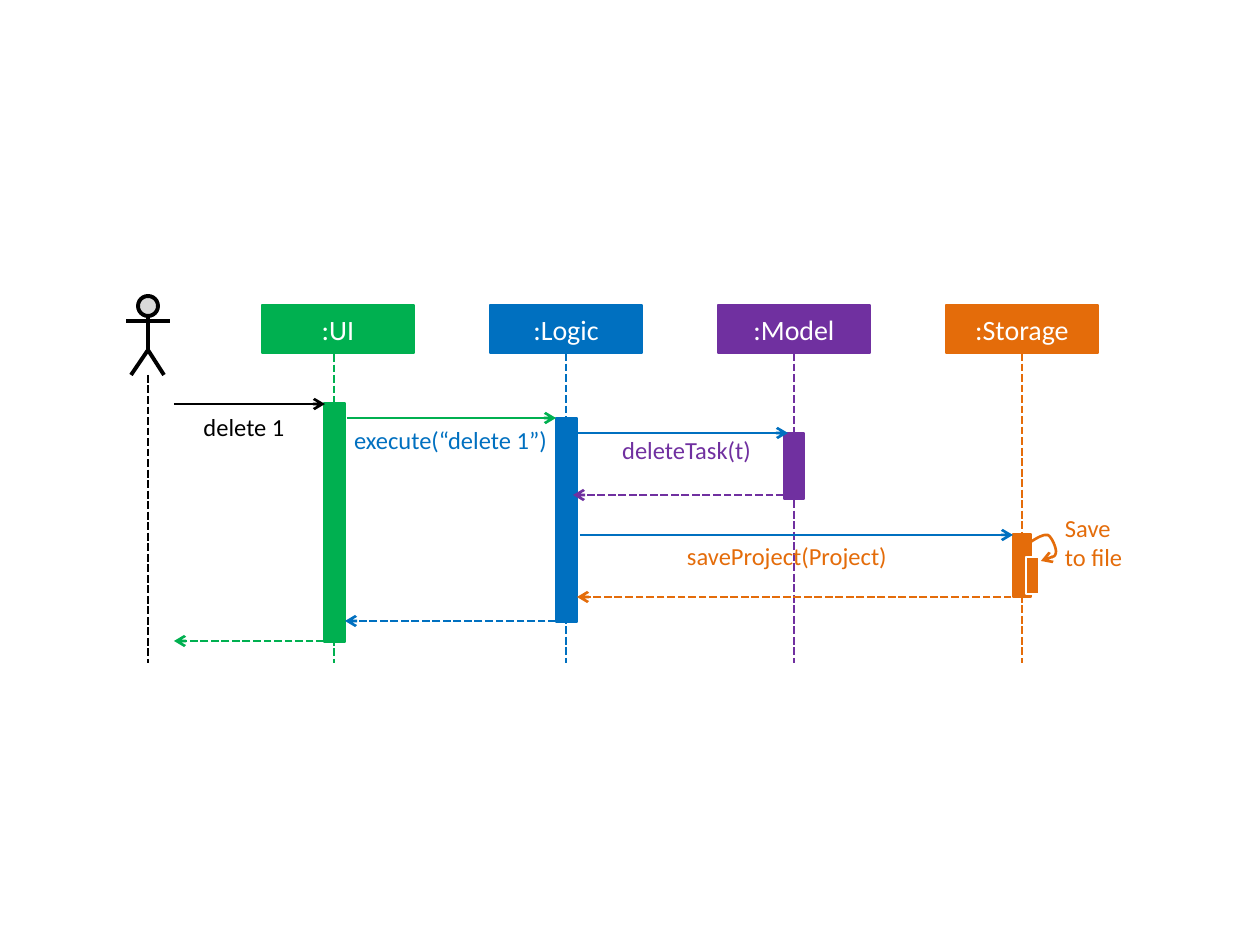
from lxml.etree import SubElement
from pptx import Presentation
from pptx.dml.color import RGBColor
from pptx.enum.dml import MSO_LINE
from pptx.enum.shapes import MSO_CONNECTOR, MSO_SHAPE
from pptx.enum.text import MSO_ANCHOR, PP_ALIGN
from pptx.oxml.ns import qn
from pptx.util import Emu, Pt

EMU_PER_PX = 914400 / 126
BLACK = RGBColor(0x00, 0x00, 0x00)
WHITE = RGBColor(0xFF, 0xFF, 0xFF)
GRAY = RGBColor(0xD9, 0xD9, 0xD9)
GREEN = RGBColor(0x00, 0xB0, 0x50)
BLUE = RGBColor(0x00, 0x70, 0xC0)
PURPLE = RGBColor(0x70, 0x30, 0xA0)
ORANGE = RGBColor(0xE4, 0x6C, 0x0A)

HEADER_LEFT, HEADER_TOP, HEADER_STEP = 262, 305, 228
HEADER_WIDTH, HEADER_HEIGHT = 152, 48
LIFELINE_END = 663

PARTICIPANTS = [
    (":UI", GREEN, (324, 403, 21, 239)),
    (":Logic", BLUE, (556, 418, 21, 204)),
    (":Model", PURPLE, (784, 433, 20, 66)),
    (":Storage", ORANGE, (1013, 534, 18, 63)),
]
MESSAGES = [
    (174, 325, 404, BLACK, False),
    (347, 556, 418, GREEN, False),
    (576, 788, 433, BLUE, False),
    (784, 573, 495, PURPLE, True),
    (556, 345, 621, BLUE, True),
    (324, 174, 641, GREEN, True),
    (1022, 577, 597, ORANGE, True),
    (580, 1013, 535, BLUE, False),
]
LABELS = [
    ("delete 1", (185, 412, 118, 30), BLACK, PP_ALIGN.CENTER),
    ("execute(“delete 1”)", (352, 425, 197, 30), BLUE, PP_ALIGN.CENTER),
    ("deleteTask(t)", (602, 435, 169, 30), PURPLE, PP_ALIGN.CENTER),
    ("saveProject(Project)", (617, 541, 340, 30), ORANGE, PP_ALIGN.CENTER),
    ("Save\vto file", (1065, 513, 74, 59), ORANGE, PP_ALIGN.LEFT),
]


def px(length):
    return Emu(round(length * EMU_PER_PX))


def style_text(frame, text, size, color, align):
    frame.text = text
    for paragraph in frame.paragraphs:
        paragraph.alignment = align
        for run in paragraph.runs:
            run.font.name = "Calibri"
            run.font.size = Pt(size)
            run.font.color.rgb = color


def add_arrowhead(line_owner, end):
    SubElement(line_owner.line._get_or_add_ln(), qn(f"a:{end}"), type="arrow")


def add_block(shapes, kind, box, fill, outline, width):
    block = shapes.add_shape(kind, *map(px, box))
    block.shadow.inherit = False
    block.fill.solid()
    block.fill.fore_color.rgb = fill
    block.line.color.rgb = outline
    block.line.width = Pt(width)
    return block


def add_line(shapes, start, end, color, width=1.5, dashed=False, arrow=False):
    line = shapes.add_connector(MSO_CONNECTOR.STRAIGHT, *map(px, start + end))
    line.line.color.rgb = color
    line.line.width = Pt(width)
    if dashed:
        line.line.dash_style = MSO_LINE.SQUARE_DOT
    if arrow:
        add_arrowhead(line, "tailEnd")
    SubElement(line._element.spPr, qn("a:effectLst"))
    return line


def add_outline(shapes, points, color, width):
    builder = shapes.build_freeform(*points[0], scale=EMU_PER_PX)
    builder.add_line_segments(points[1:], close=False)
    outline = builder.convert_to_shape()
    outline.shadow.inherit = False
    outline.fill.background()
    outline.line.color.rgb = color
    outline.line.width = Pt(width)
    return outline


def bend_outline(outline):
    segments = list(outline._element.iter(qn("a:lnTo")))
    for first in range(0, len(segments), 3):
        triple = segments[first:first + 3]
        curve = SubElement(triple[0].getparent(), qn("a:cubicBezTo"))
        for segment in triple:
            curve.append(segment[0])
            segment.getparent().remove(segment)


def add_actor(shapes):
    figure = shapes.add_group_shape().shapes
    add_block(figure, MSO_SHAPE.FLOWCHART_CONNECTOR, (138, 296, 20, 20), GRAY, BLACK, 2.25)
    add_line(figure, (148, 316), (148, 350), BLACK, 2.25)
    add_outline(figure, [(131, 375), (148, 350), (164, 375)], BLACK, 2.25)
    add_line(figure, (126, 321), (170, 321), BLACK, 2.25)
    add_line(shapes, (148, 375), (148, LIFELINE_END), BLACK, dashed=True)


def add_participant(shapes, index, name, color, bar):
    left = HEADER_LEFT + index * HEADER_STEP
    header_box = (left, HEADER_TOP, HEADER_WIDTH, HEADER_HEIGHT)
    header = add_block(shapes, MSO_SHAPE.RECTANGLE, header_box, color, color, 1.5)
    header.text_frame.vertical_anchor = MSO_ANCHOR.MIDDLE
    style_text(header.text_frame, name, 16, WHITE, PP_ALIGN.CENTER)
    header_middle = left + HEADER_WIDTH // 2
    lifeline_x = 334 if index == 0 else header_middle
    lifeline = add_line(shapes, (lifeline_x, 354), (lifeline_x, LIFELINE_END), color, dashed=True)
    if lifeline_x == header_middle:
        lifeline.begin_connect(header, 2)
    add_block(shapes, MSO_SHAPE.RECTANGLE, bar, color, color, 0.75)


def add_label(shapes, text, box, color, align):
    label = shapes.add_textbox(*map(px, box))
    frame = label.text_frame
    frame.word_wrap = True
    frame.margin_left = frame.margin_right = frame.margin_top = frame.margin_bottom = 0
    style_text(frame, text, 14, color, align)


def add_self_call(shapes):
    call = shapes.add_group_shape().shapes
    loop = add_outline(call, [
        (1041, 561), (1048, 559), (1055, 557), (1056, 553), (1057, 549),
        (1052, 537), (1048, 535), (1043, 534), (1037, 538), (1029, 543),
    ], ORANGE, 1.5)
    bend_outline(loop)
    add_arrowhead(loop, "headEnd")
    add_block(call, MSO_SHAPE.RECTANGLE, (1026, 557, 13, 37), ORANGE, WHITE, 0.75)


def main():
    presentation = Presentation()
    presentation.slide_width = px(1260)
    presentation.slide_height = px(945)
    shapes = presentation.slides.add_slide(presentation.slide_layouts[6]).shapes
    add_actor(shapes)
    for index, participant in enumerate(PARTICIPANTS):
        add_participant(shapes, index, *participant)
    for start_x, end_x, y, color, dashed in MESSAGES:
        add_line(shapes, (start_x, y), (end_x, y), color, dashed=dashed, arrow=True)
    add_self_call(shapes)
    for label in LABELS:
        add_label(shapes, *label)
    presentation.save("out.pptx")


if __name__ == "__main__":
    main()
